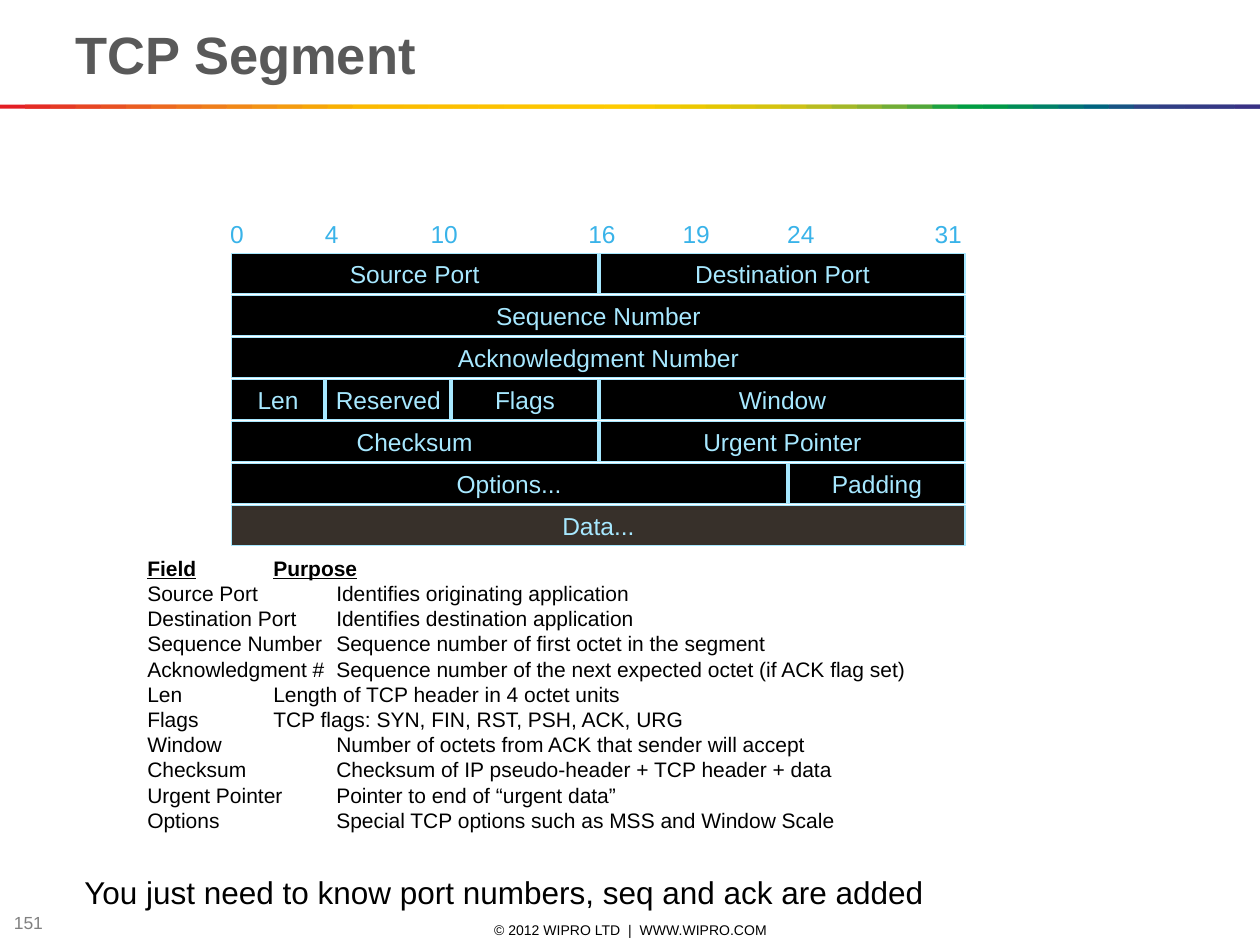
from lxml import etree
from pptx import Presentation
from pptx.dml.color import RGBColor
from pptx.enum.shapes import MSO_SHAPE as Shape
from pptx.enum.text import MSO_ANCHOR as Anchor, PP_ALIGN as Align
from pptx.oxml.ns import qn
from pptx.util import Cm, Pt

COLORS = {
    "title": "595959", "text": "000000", "page_number": "808080",
    "bit": "39B3E9", "cell_text": "A7E8FF", "cell": "000000", "data": "37302A",
}
RAINBOW = """
E31E24 E42C24 E53A24 E74623 E85122 EA5D21 EC691F EE741D EF7E1A F18817
F39314 F49C0F F6A607 F8B002 FBBA00 FBBB00 FBBD00 FCBF00 FCC000 FCC200
FDC400 FDC600 FDC700 FEC900 FECB00 FBCB00 F3CA00 ECC800 E4C602 DCC50A
D5C30E CCC117 B8BC21 A3B829 8CB230 71AD36 51A73B 1DA240 009D43 009846
008C57 008068 007275 00637F 185384 2E4285 313E85 333B85 353885 393185
""".split()


def write(box, lines, size, color, align=Align.LEFT, anchor=Anchor.TOP, wrap=True, bold=False):
    frame = box.text_frame
    frame.word_wrap = wrap
    frame.vertical_anchor = anchor
    for number, line in enumerate(lines):
        para = frame.paragraphs[0] if number == 0 else frame.add_paragraph()
        para.alignment = align
        span = para.add_run()
        span.text = line
        for name, value in {"name": "Arial", "size": Pt(size), "bold": bold}.items():
            setattr(span.font, name, value)
        span.font.color.rgb = RGBColor.from_string(COLORS[color])
    return frame


def add_block(left, top, width, height, fill):
    block = page.shapes.add_shape(Shape.RECTANGLE, left, top, width, height)
    block.shadow.inherit = False
    block.fill.solid()
    block.fill.fore_color.rgb = RGBColor.from_string(fill)
    block.line.fill.background()
    return block


deck = Presentation()
deck.slide_width, deck.slide_height = Cm(25.4), Cm(19.05)
page = deck.slides.add_slide(deck.slide_layouts[5])

strip = deck.slide_width / len(RAINBOW)
for number, color in enumerate(RAINBOW):
    span_count = min(2, len(RAINBOW) - number)
    add_block(int(number * strip), Cm(2.11), int(span_count * strip), Cm(0.08), color)

title = page.shapes.title
for name, value in {"left": 1.27, "top": 0.3, "width": 22.86, "height": 1.55}.items():
    setattr(title, name, Cm(value))
write(title, ["TCP Segment"], 30, "title", anchor=Anchor.BOTTOM, bold=True)

BIT_LABELS = {0: 4.39, 4: 6.3, 10: 8.43, 16: 11.61, 19: 13.51, 24: 15.62, 31: 18.59}
for bit, left in BIT_LABELS.items():
    width = 0.79 if bit < 10 else 1.07
    box = page.shapes.add_textbox(Cm(left), Cm(4.29), Cm(width), Cm(0.84))
    write(box, [str(bit)], 14, "bit", wrap=False)

EDGES = {0: 4.67, 4: 6.58, 10: 9.12, 16: 12.09, 24: 15.9, 32: 19.5}
GAP = 0.04
ROWS = [
    [("Source Port", 0, 16), ("Destination Port", 16, 32)],
    [("Sequence Number", 0, 32)],
    [("Acknowledgment Number", 0, 32)],
    [("Len", 0, 4), ("Reserved", 4, 10), ("Flags", 10, 16), ("Window", 16, 32)],
    [("Checksum", 0, 16), ("Urgent Pointer", 16, 32)],
    [("Options...", 0, 24), ("Padding", 24, 32)],
    [("Data...", 0, 32)],
]
for number, row in enumerate(ROWS):
    top = Cm(5.11 + number * 5.08 / 6)
    for label, start, end in row:
        fill = COLORS["data" if label == "Data..." else "cell"]
        width = EDGES[end] - EDGES[start] - GAP
        cell = add_block(Cm(EDGES[start]), top, Cm(width), Cm(0.81), fill)
        cell.line.color.rgb = RGBColor.from_string(COLORS["cell_text"])
        cell.line.width = Pt(1)
        write(cell, [label], 14, "cell_text", Align.CENTER, Anchor.MIDDLE, wrap=False)

PURPOSES = [
    "Field\t\tPurpose",
    "Source Port\t\tIdentifies originating application",
    "Destination Port\tIdentifies destination application",
    "Sequence Number\tSequence number of first octet in the segment",
    "Acknowledgment #\tSequence number of the next expected octet (if ACK flag set)",
    "Len\t\tLength of TCP header in 4 octet units",
    "Flags\t\tTCP flags: SYN, FIN, RST, PSH, ACK, URG",
    "Window\t\tNumber of octets from ACK that sender will accept",
    "Checksum\t\tChecksum of IP pseudo-header + TCP header + data",
    "Urgent Pointer\tPointer to end of “urgent data”",
    "Options\t\tSpecial TCP options such as MSS and Window Scale",
]
box = page.shapes.add_textbox(Cm(2.72), Cm(11.07), Cm(17.09), Cm(5.84))
purposes = write(box, PURPOSES, 12, "text")
for para in purposes.paragraphs:
    stops = etree.SubElement(para._p.get_or_add_pPr(), qn("a:tabLst"))
    for count in (1, 2, 3):
        etree.SubElement(stops, qn("a:tab"), pos=str(Cm(1.27 * count)), algn="l")
for span in purposes.paragraphs[0].runs:
    for name in ("bold", "underline"):
        setattr(span.font, name, True)

box = page.shapes.add_textbox(Cm(1.45), Cm(17.48), Cm(23.16), Cm(1.27))
write(box, ["You just need to know port numbers, seq and ack are added"], 18, "text")

box = page.shapes.add_textbox(Cm(8.69), Cm(18.54), Cm(8.05), Cm(0.41))
write(box, ["© 2012 WIPRO LTD  |  WWW.WIPRO.COM"], 8, "text", Align.CENTER, Anchor.MIDDLE)

box = page.shapes.add_textbox(Cm(0.03), Cm(18.34), Cm(1.9), Cm(0.53))
write(box, ["151"], 10, "page_number", anchor=Anchor.MIDDLE)

deck.save("out.pptx")
